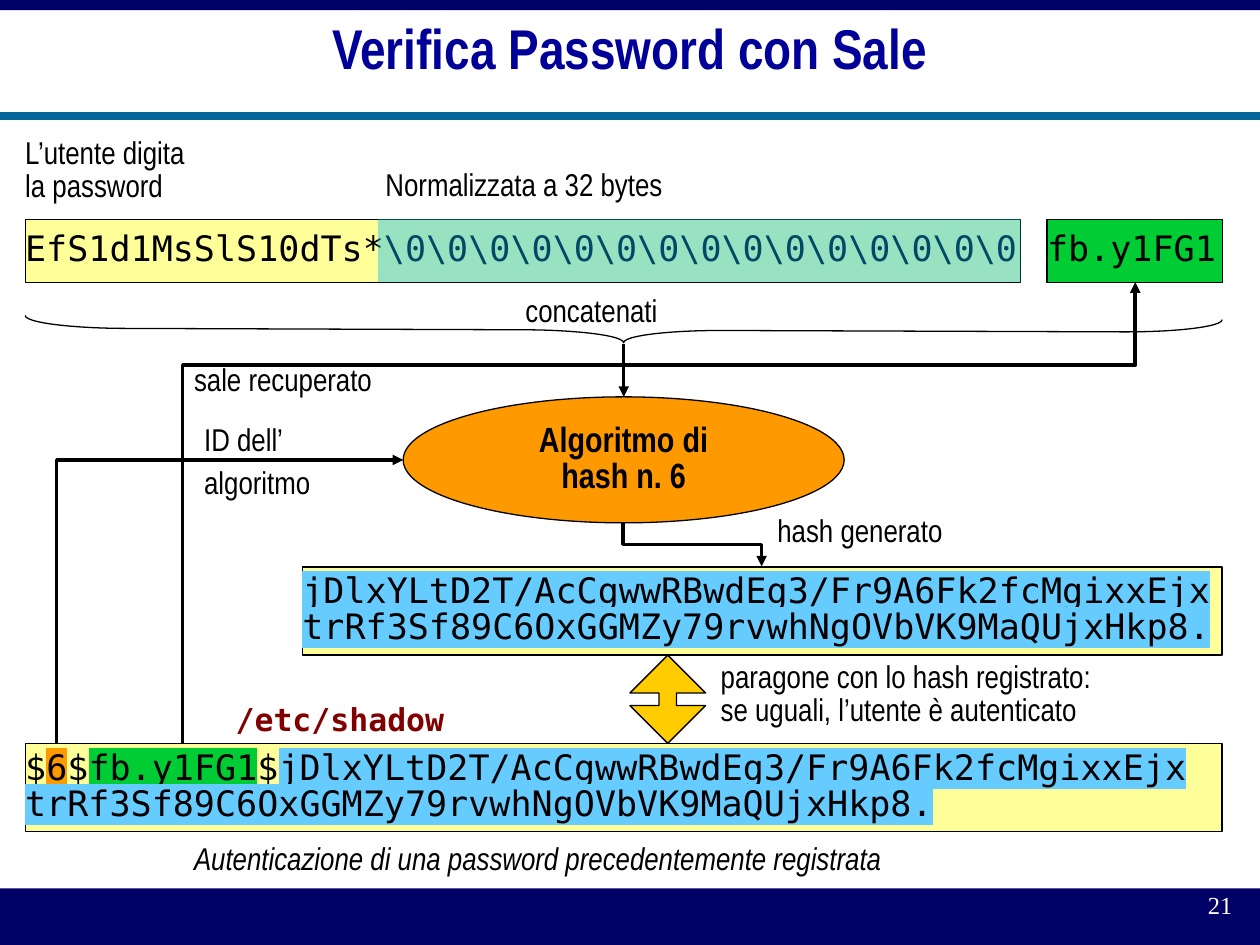
"""Build the slide on checking a salted password."""
import pptx
import pptx.dml.color
import pptx.enum.shapes
import pptx.enum.text
import pptx.oxml.ns
import pptx.util
from lxml import etree

Pt = pptx.util.Pt
RGB = pptx.dml.color.RGBColor
SHAPE = pptx.enum.shapes.MSO_SHAPE
LINK = pptx.enum.shapes.MSO_CONNECTOR
ALIGN = pptx.enum.text.PP_ALIGN
ANCHOR = pptx.enum.text.MSO_ANCHOR
qn = pptx.oxml.ns.qn

BLACK, WHITE = RGB(0, 0, 0), RGB(255, 255, 255)
NAVY, TITLE_BLUE, TEAL = RGB(0, 0, 0x66), RGB(0, 0, 0x99), RGB(0, 0x66, 0x99)
YELLOW, GREEN, ORANGE = RGB(255, 255, 0x99), RGB(0, 0xCC, 0x33), RGB(255, 0x99, 0)
SKY, CYAN, GOLD = RGB(0x66, 0xCC, 255), RGB(0, 0xB8, 255), RGB(255, 0xCC, 0)
MAROON = RGB(0x80, 0, 0)

SANS, MONO = "Arial Narrow", "DejaVu Sans Mono"
LABEL = dict(size=Pt(18), name=SANS)
CODE = dict(size=Pt(20), name=MONO)
LEFT, CENTER, RIGHT = ALIGN.LEFT, ALIGN.CENTER, ALIGN.RIGHT

SALT = "fb.y1FG1"
HASH = ["jDlxYLtD2T/AcCgwwRBwdEg3/Fr9A6Fk2fcMgixxEjx",
        "trRf3Sf89C6OxGGMZy79rvwhNgOVbVK9MaQUjxHkp8."]
HASH_LINES = [[(line, SKY)] for line in HASH]
SHADOW_LINES = [[("$", None), ("6", ORANGE), ("$", None), (SALT, GREEN), ("$", None)]
                + HASH_LINES[0], HASH_LINES[1]]

BARS = [(0, 507.6, 720, 32.4), (0, 0, 720, 5.76)]
CODE_BOXES = [
    ((14.4, 125.28, 568.8, 36), YELLOW, ["EfS1d1MsSlS10dTs*" + r"\0" * 15]),
    ((598.32, 125.28, 100.08, 36), GREEN, [SALT]),
    ((14.4, 424.8, 684, 50.4), YELLOW, SHADOW_LINES),
    ((172.8, 324, 525.6, 50.4), YELLOW, HASH_LINES),
]
PADDING = (216, 125.28, 367.2, 36)
ALGORITHM = ((230.4, 226.8, 252, 72), ["Algoritmo di", "hash n. 6"])
BRACE = (349.2, -153.36, 14.4, 684)
COMPARE = (360, 374.4, 43.2, 50.4)

LABELS = [
    ((14.4, 79.2, 118.8, 38.88), ["L’utente digita", "la password"], {}),
    ((220.32, 97.2, 197.28, 20.88), ["Normalizzata a 32 bytes"], {}),
    ((300.24, 169.2, 95.76, 20.88), ["concatenati"], {}),
    ((411.84, 378.72, 264.96, 38.88),
     ["paragone con lo hash registrato:", "se uguali, l’utente è autenticato"], {}),
    ((110.88, 208.8, 126.72, 20.88), ["sale recuperato"], {}),
    ((110.88, 482.4, 493.92, 20.88),
     ["Autenticazione di una password precedentemente registrata"], dict(italic=True)),
    ((444.24, 295.2, 117.36, 20.88), ["hash generato"], {}),
    ((134.64, 403.2, 119.52, 20.88), ["/etc/shadow"],
     dict(name=MONO, bold=True, color=MAROON)),
]
ALGORITHM_ID = ((116.64, 243.36, 77.76, 44.64), ["ID dell’", "algoritmo"])
TITLE = ((14.4, 0, 691.2, 59.76), ["Verifica Password con Sale"])
NUMBER = ((561.6, 507.6, 149.76, 23.76), ["21"])

ELBOWS = [
    ((32.4, 262.8, 198, 162), 180, "flipV", "bentConnector2", None, "headEnd"),
    ((244.8, 20.88, 263.52, 544.32), 90, None, "bentConnector3", 18000, "headEnd"),
    ((383.04, 271.44, 25.2, 79.2), 270, "flipH", "bentConnector3", 50000, "tailEnd"),
]


def write(sp, lines, fmt, align=LEFT, anchor=ANCHOR.TOP, wrap=False, inset=(0, 0), gap=0):
    """Put lines of plain text or (text, highlight) runs in a shape."""
    fmt = dict(fmt)
    color = fmt.pop("color", BLACK)
    tf = sp.text_frame
    tf.word_wrap, tf.vertical_anchor = wrap, anchor
    tf.margin_left = tf.margin_right = Pt(inset[0])
    tf.margin_top = tf.margin_bottom = Pt(inset[1])
    for i, line in enumerate(lines):
        p = tf.add_paragraph() if i else tf.paragraphs[0]
        p.alignment, p.line_spacing = align, 0.86
        if i and gap:
            p.space_before = Pt(gap)
        for text, mark in [(line, None)] if isinstance(line, str) else line:
            r = p.add_run()
            r.text = text
            r.font.color.rgb = color
            if mark is not None:
                hl = etree.SubElement(r.font._element, qn("a:highlight"))
                etree.SubElement(hl, qn("a:srgbClr"), val=str(mark))
            for key, value in fmt.items():
                setattr(r.font, key, value)


def shape(s, kind, box, fill=None, outline=True):
    """Add a preset shape with a flat fill and a hairline."""
    sp = s.shapes.add_shape(kind, *map(Pt, box))
    sp.shadow.inherit = False
    if fill is None:
        sp.fill.background()
    else:
        sp.fill.solid()
        sp.fill.fore_color.rgb = fill
    if outline:
        sp.line.color.rgb = BLACK
        sp.line.width = Pt(0)
    else:
        sp.line.fill.background()
    return sp


def text(s, box, lines, fmt, **layout):
    """Add a text box."""
    write(s.shapes.add_textbox(*map(Pt, box)), lines, fmt, **layout)


def connector(s, kind, ends, color=BLACK, width=0, arrow=None):
    """Add a connector, with an arrowhead where asked."""
    cx = s.shapes.add_connector(kind, *map(Pt, ends))
    cx.line.color.rgb = color
    cx.line.width = Pt(width)
    if arrow:
        etree.SubElement(cx.line._get_or_add_ln(), qn("a:" + arrow), type="triangle")
    etree.SubElement(cx._element.spPr, qn("a:effectLst"))
    return cx


def elbow(s, box, turn, flip, preset, bend, arrow):
    """Add a turned or flipped elbow connector."""
    x, y, w, h = box
    cx = connector(s, LINK.ELBOW, (x, y, x + w, y + h), arrow=arrow)
    xfrm = cx._element.spPr.find(qn("a:xfrm"))
    xfrm.set("rot", str(turn * 60000))
    if flip:
        xfrm.set(flip, "1")
    geom = cx._element.spPr.find(qn("a:prstGeom"))
    geom.set("prst", preset)
    if bend:
        etree.SubElement(geom.find(qn("a:avLst")), qn("a:gd"),
                         name="adj1", fmla=f"val {bend}")


def main():
    """Draw the slide and save it."""
    prs = pptx.Presentation()
    prs.slide_width, prs.slide_height = Pt(720), Pt(540)
    s = prs.slides.add_slide(prs.slide_layouts[6])

    for bar in BARS:
        shape(s, SHAPE.RECTANGLE, bar, NAVY, outline=False)
    connector(s, LINK.STRAIGHT, (0, 66.24, 720, 66.24), TEAL, 4.5)
    text(s, *NUMBER, dict(size=Pt(14), name="Times New Roman", color=WHITE),
         align=RIGHT, wrap=True, inset=(7.2, 3.6))
    text(s, *TITLE, dict(size=Pt(32), name=SANS, bold=True, color=TITLE_BLUE),
         align=CENTER, anchor=ANCHOR.MIDDLE, wrap=True)

    for box, fill, lines in CODE_BOXES:
        write(shape(s, SHAPE.RECTANGLE, box, fill), lines, CODE, anchor=ANCHOR.MIDDLE)
    padding = shape(s, SHAPE.RECTANGLE, PADDING, CYAN, outline=False)
    clr = padding._element.spPr.find(qn("a:solidFill"))[0]
    etree.SubElement(clr, qn("a:alpha"), val="40000")

    brace = shape(s, SHAPE.LEFT_BRACE, BRACE)
    brace.adjustments[0], brace.adjustments[1] = 3.95, 0.5
    brace.rotation = 270.2
    box, lines = ALGORITHM
    write(shape(s, SHAPE.OVAL, box, ORANGE), lines, dict(CODE, name=SANS, bold=True),
          align=CENTER, anchor=ANCHOR.MIDDLE)
    compare = shape(s, SHAPE.UP_DOWN_ARROW, COMPARE, GOLD)
    compare.adjustments[0], compare.adjustments[1] = 0.5, 0.23

    connector(s, LINK.STRAIGHT, (356.4, 196.56, 356.4, 226.8), arrow="tailEnd")
    for bent in ELBOWS:
        elbow(s, *bent)
    for box, lines, extra in LABELS:
        text(s, box, lines, {**LABEL, **extra})
    text(s, *ALGORITHM_ID, LABEL, gap=6)
    prs.save("out.pptx")


if __name__ == "__main__":
    main()
